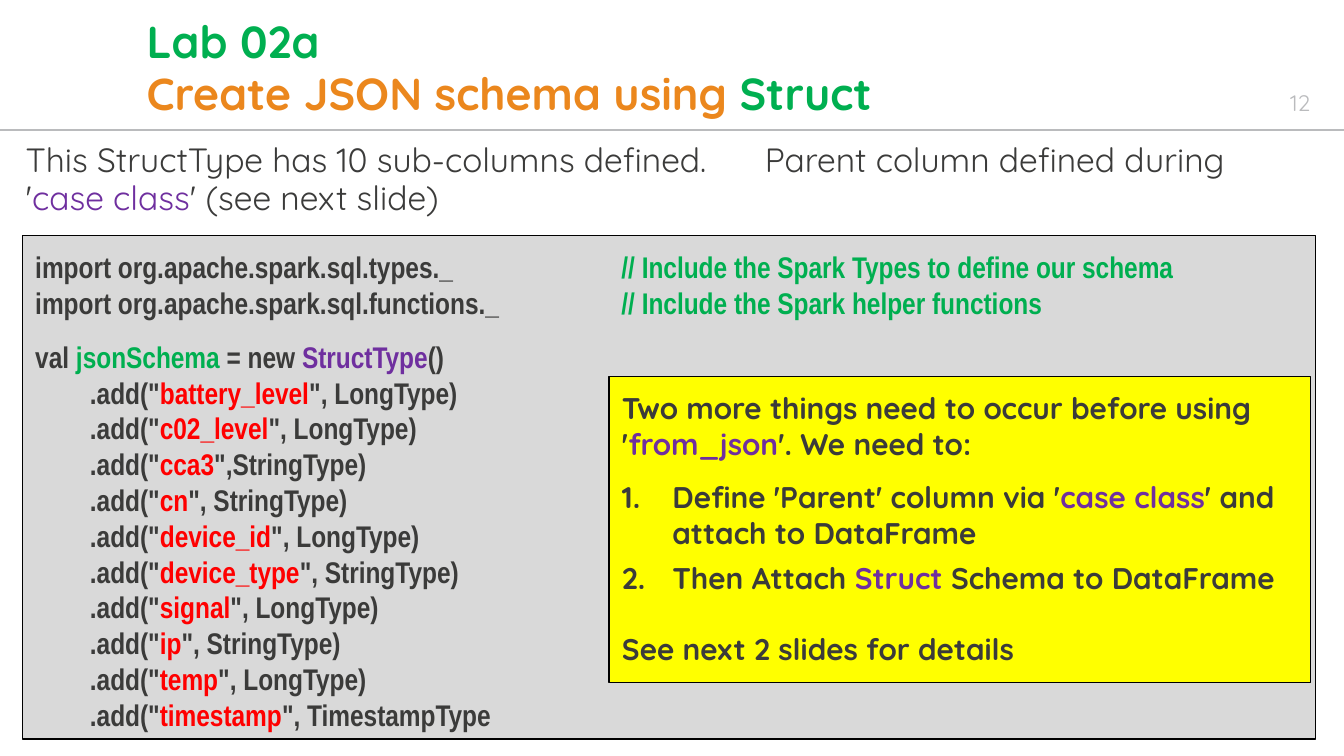
from lxml.etree import SubElement
from pptx import Presentation
from pptx.dml.color import RGBColor as RGB
from pptx.enum.shapes import MSO_CONNECTOR as Link, MSO_SHAPE as Shape
from pptx.enum.text import MSO_ANCHOR as Anchor, PP_ALIGN as Align
from pptx.oxml.ns import qn
from pptx.util import Pt

GREEN = RGB(0x00, 0xAF, 0x50)
ORANGE = RGB(0xEB, 0x87, 0x1D)
PURPLE = RGB(0x6F, 0x2F, 0x9F)
RED = RGB(0xFF, 0x00, 0x00)
DARK = RGB(0x3B, 0x3B, 0x3A)
SILVER = RGB(0xBA, 0xBB, 0xBD)
GREY = RGB(0xD9, 0xD9, 0xD9)
YELLOW = RGB(0xFF, 0xFF, 0x00)
BLACK = RGB(0x00, 0x00, 0x00)
SANS, CODE = "Quicksand", "Arial Narrow"

FIELDS = [
    ("battery_level", ", LongType)"),
    ("c02_level", ", LongType)"),
    ("cca3", ",StringType)"),
    ("cn", ", StringType)"),
    ("device_id", ", LongType)"),
    ("device_type", ", StringType)"),
    ("signal", ", LongType)"),
    ("ip", ", StringType)"),
    ("temp", ", LongType)"),
    ("timestamp", ", TimestampType"),
]


def setup(frame, top=0.7):
    frame.word_wrap = True
    frame.vertical_anchor = Anchor.TOP
    frame.margin_left = frame.margin_right = frame.margin_bottom = 0
    frame.margin_top = Pt(top)
    return frame


def text_box(slide, x, y, w, h):
    box = slide.shapes.add_textbox(Pt(x), Pt(y), Pt(w), Pt(h))
    return setup(box.text_frame)


def panel(slide, x, y, w, h, fill):
    rect = slide.shapes.add_shape(Shape.RECTANGLE, Pt(x), Pt(y), Pt(w), Pt(h))
    rect.shadow.inherit = False
    rect.fill.solid()
    rect.fill.fore_color.rgb = fill
    rect.line.color.rgb = BLACK
    rect.line.width = Pt(0.75)
    return rect


def write(frame, runs, size, font=SANS, bold=True, before=0, left=0.7,
          hang=0, line=None):
    """Add one paragraph of (text, colour) runs, reusing an empty first one."""
    para = frame.paragraphs[0]
    if para.runs:
        para = frame.add_paragraph()
    para.alignment = Align.LEFT
    para.space_before = Pt(before)
    if line:
        para.line_spacing = Pt(line)
    props = para._p.get_or_add_pPr()
    props.set("marL", str(Pt(left)))
    props.set("indent", str(Pt(-hang)))
    for text, color in runs:
        run = para.add_run()
        run.text = text
        run.font.size = Pt(size)
        run.font.name = font
        run.font.bold = bold
        run.font.color.rgb = color
    return props


def header(slide, x, y, w, h):
    frame = text_box(slide, x + 77.8, y + 7.2, 588, 58.3)
    write(frame, [("Lab 02a", GREEN)], 24, before=1, line=28.1)
    write(frame, [("Create JSON schema using ", ORANGE), ("Struct", GREEN)],
          24, line=28.1)

    page = text_box(slide, x + w - 29.5, y + 46.8, 15.5, 16.6)
    write(page, [("12", SILVER)], 12, bold=False, before=1.1)

    rule = slide.shapes.add_connector(
        Link.STRAIGHT, Pt(x), Pt(y + h), Pt(x + w), Pt(y + h))
    rule.line.color.rgb = SILVER
    rule.line.width = Pt(1)
    SubElement(rule._element.spPr, qn("a:effectLst"))


def intro(slide, x, y, w, h):
    frame = text_box(slide, x, y, w, h)
    props = write(frame, [
        ("This StructType has 10 sub-columns defined.", DARK),
        ("\tParent column defined during", DARK),
    ], 18, bold=False, before=1, line=20.5)
    tabs = SubElement(props, qn("a:tabLst"))
    SubElement(tabs, qn("a:tab"), pos=str(Pt(388.8)), algn="l")
    write(frame, [("'", DARK), ("case class", PURPLE),
                  ("' (see next slide)", DARK)], 18, bold=False, line=20.5)


def code(slide, x, y, w, h):
    panel(slide, x, y, w, h, GREY)

    notes = text_box(slide, x + 320, y + 6.5, 298, 40)
    for text, gap in (("// Include the Spark Types to define our schema", 0.9),
                      ("// Include the Spark helper functions", 0.1)):
        write(notes, [(text, GREEN)], 16, CODE, before=gap)

    frame = text_box(slide, x + 6, y + 6.5, 260, 261)
    for name, gap in (("types", 0.9), ("functions", 0.1)):
        write(frame, [("import ", DARK),
                      (f"org.apache.spark.sql.{name}._", DARK)],
              16, CODE, before=gap)
    write(frame, [("val ", DARK), ("jsonSchema ", GREEN), ("= new ", DARK),
                  ("StructType", PURPLE), ("()", DARK)],
          16, CODE, before=9.6)
    for name, tail in FIELDS:
        write(frame, [('.add("', DARK), (name, RED), ('"' + tail, DARK)],
              16, CODE, left=30)


def callout(slide, x, y, w, h):
    frame = setup(panel(slide, x, y, w, h, YELLOW).text_frame, 7)
    write(frame, [("Two more things need to occur before using '", DARK),
                  ("from_json", PURPLE), ("'. We need to:", DARK)],
          16, before=7, left=7)
    steps = [
        ([("Define 'Parent' column via '", DARK), ("case class", PURPLE),
          ("' and attach to DataFrame", DARK)], 9.6),
        ([("Then Attach ", DARK), ("Struct ", PURPLE),
          ("Schema to DataFrame", DARK)], 4.8),
    ]
    for runs, gap in steps:
        props = write(frame, runs, 16, before=gap, left=34, hang=27)
        SubElement(props, qn("a:buFont"), typeface=SANS)
        SubElement(props, qn("a:buAutoNum"), type="arabicPeriod")
    write(frame, [("See next 2 slides for details", DARK)],
          16, before=19, left=7)


def main():
    deck = Presentation()
    deck.slide_width, deck.slide_height = Pt(720), Pt(405)
    slide = deck.slides.add_slide(deck.slide_layouts[6])
    header(slide, 0, 0, 720, 69.8)
    intro(slide, 13, 74.9, 652, 43)
    code(slide, 12.2, 126, 692.7, 270)
    callout(slide, 326.2, 201.6, 375.8, 164.2)
    deck.save("out.pptx")


if __name__ == "__main__":
    main()
